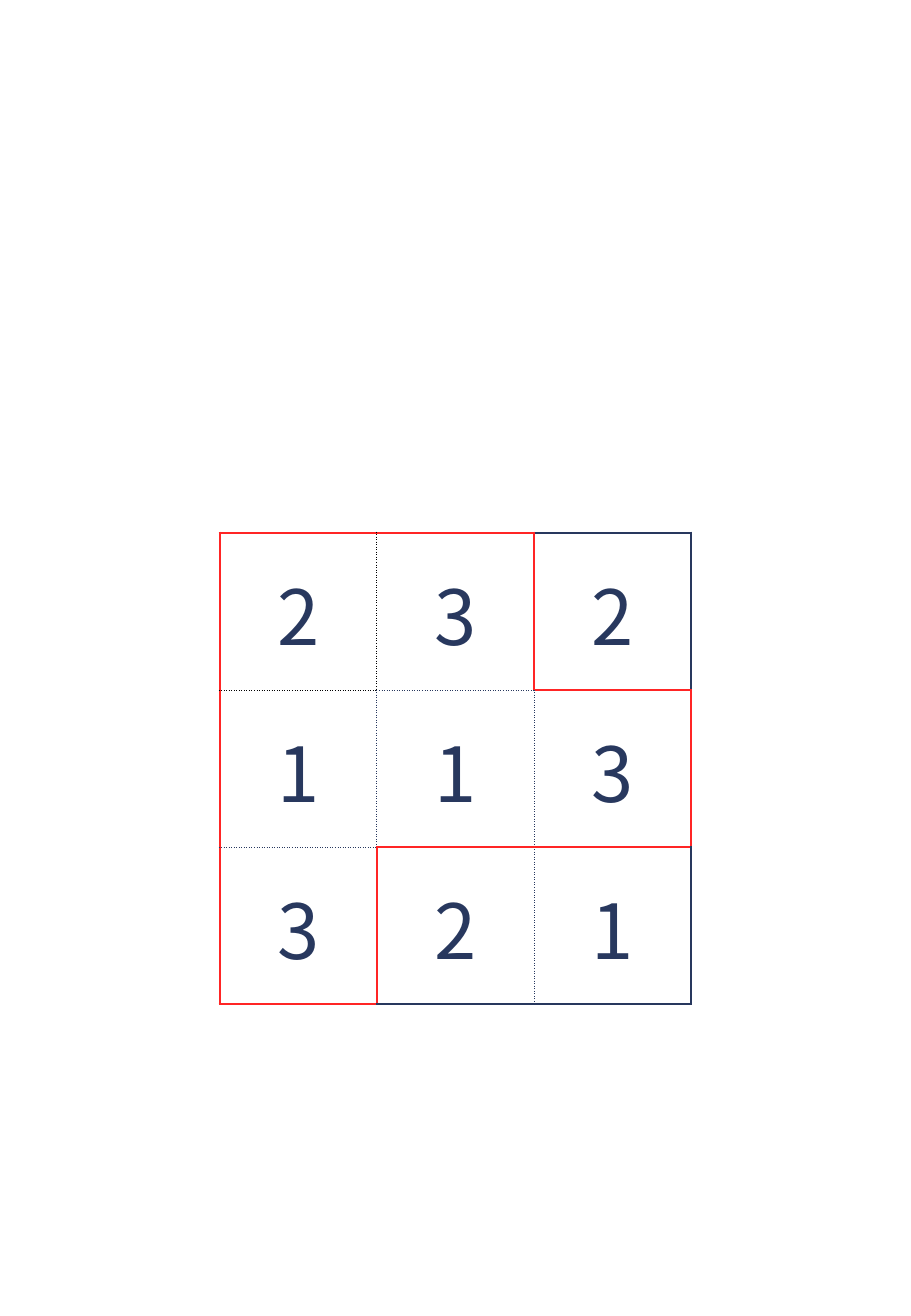
from lxml import etree
from pptx import Presentation
from pptx.dml.color import RGBColor
from pptx.enum.text import MSO_ANCHOR, PP_ALIGN
from pptx.oxml.ns import qn
from pptx.util import Inches, Pt

CENTER = PP_ALIGN.CENTER
MIDDLE = MSO_ANCHOR.MIDDLE

NAVY = RGBColor(0x28, 0x38, 0x5E)
RED = RGBColor(0xFF, 0x25, 0x25)
BLACK = RGBColor(0, 0, 0)

# Edge kinds: colour, width in points, dash
EDGES = {
    "R": (RED, 1.5, "solid"),
    "N": (NAVY, 1.5, "solid"),
    "D": (NAVY, 0.5, "dot"),
    "K": (BLACK, 0.5, "dot"),
    ".": None,
}
DIGITS = ["     ", " 232 ", " 113 ", " 321 ", "     "]
# One row per horizontal grid line, one letter per column
ACROSS = [".....", ".RRN.", ".KDR.", ".DRR.", ".RNN.", "....."]
# One row per table row, one letter per vertical grid line
DOWN = ["......", ".RKRN.", ".RDDR.", ".RRDN.", "......"]
SIDE = 6.47
TOP = 3.09


class Board:
    def __init__(self, slide, font, size, color):
        self.slide = slide
        self.font = font
        self.size = size
        self.color = color

    def edge(self, cell, tag, kind):
        """Draw one side of a cell, or hide it when kind has no style."""
        props = cell._tc.get_or_add_tcPr()
        line = etree.SubElement(props, qn(tag))
        style = EDGES[kind]
        if style is None:
            line.set("w", "0")
            etree.SubElement(line, qn("a:noFill"))
            return
        color, width, dash = style
        line.set("w", str(Pt(width)))
        fill = etree.SubElement(line, qn("a:solidFill"))
        etree.SubElement(fill, qn("a:srgbClr")).set("val", str(color))
        etree.SubElement(line, qn("a:prstDash")).set("val", dash)

    def digit(self, cell, text):
        cell.text = text
        cell.vertical_anchor = MIDDLE
        cell.margin_left = cell.margin_right = cell.margin_top = Inches(0.01)
        cell.margin_bottom = 0
        para = cell.text_frame.paragraphs[0]
        para.alignment = CENTER
        para.font.name = self.font
        para.font.size = self.size
        para.font.color.rgb = self.color

    def grid(self, left, top, side):
        count = len(DIGITS)
        frame = self.slide.shapes.add_table(count, count, left, top, side, side)
        table = frame.table
        table.first_row = table.horz_banding = False
        for row, digits in enumerate(DIGITS):
            for col, text in enumerate(digits):
                cell = table.cell(row, col)
                self.edge(cell, "a:lnL", DOWN[row][col])
                self.edge(cell, "a:lnR", DOWN[row][col + 1])
                self.edge(cell, "a:lnT", ACROSS[row][col])
                self.edge(cell, "a:lnB", ACROSS[row + 1][col])
                cell.fill.background()
                if text.strip():
                    self.digit(cell, text)


def main():
    deck = Presentation()
    deck.slide_width = Inches(7.5)
    deck.slide_height = Inches(10.83)
    slide = deck.slides.add_slide(deck.slide_layouts[6])
    board = Board(slide, "Noto Sans CJK JP", Pt(45), NAVY)
    side = Inches(SIDE)
    board.grid((deck.slide_width - side) // 2, Inches(TOP), side)
    deck.save("out.pptx")


if __name__ == "__main__":
    main()
